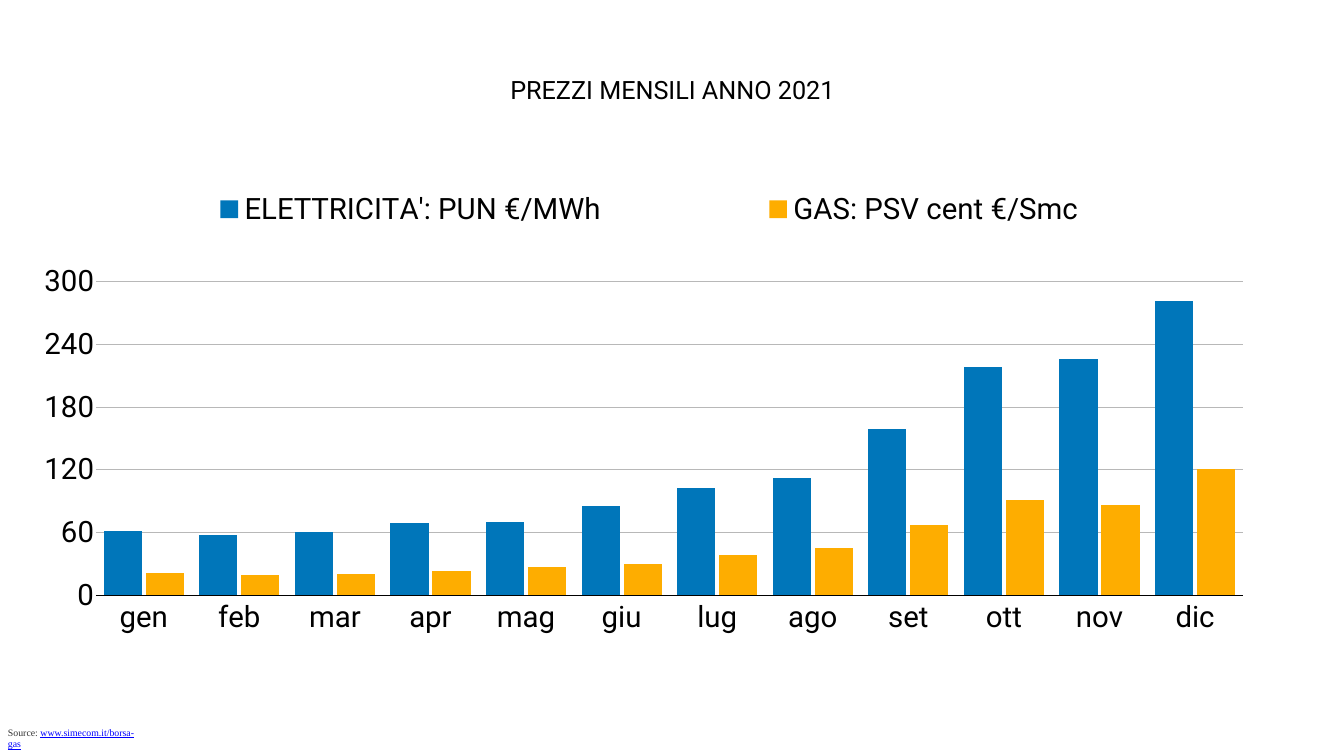
from lxml import etree
from pptx import Presentation
from pptx.chart.data import CategoryChartData
from pptx.dml.color import RGBColor
from pptx.enum.chart import XL_CHART_TYPE, XL_LEGEND_POSITION, XL_TICK_LABEL_POSITION, XL_TICK_MARK
from pptx.enum.text import MSO_ANCHOR, PP_ALIGN
from pptx.oxml.ns import qn
from pptx.util import Emu, Pt

COLUMNS = XL_CHART_TYPE.COLUMN_CLUSTERED
LEGEND_TOP = XL_LEGEND_POSITION.TOP
LABELS_LOW = XL_TICK_LABEL_POSITION.LOW
NO_TICK = XL_TICK_MARK.NONE
MIDDLE = MSO_ANCHOR.MIDDLE
LEFT, CENTER = PP_ALIGN.LEFT, PP_ALIGN.CENTER

EMU_PER_PX = 914400 / 50.4
COLORS = {
    "text": "000000", "source": "333333", "link": "0000FF", "grid": "B8B8B8",
    "electricity": "0076BA", "gas": "FEAD00", "page": "FFFFFF",
}
MONTHS = ["gen", "feb", "mar", "apr", "mag", "giu", "lug", "ago", "set", "ott", "nov", "dic"]
SERIES = [
    ("ELETTRICITA': PUN €/MWh", "electricity",
     [61, 58, 60, 69, 70, 85, 103, 112, 159, 218, 226, 282]),
    ("GAS: PSV cent €/Smc", "gas",
     [21, 19, 20, 23, 27, 30, 38, 45, 67, 91, 86, 121]),
]
CHART_FONT = {"name": "Roboto", "size": Pt(42), "color": "text"}
TITLE_FONT = {"name": "Roboto", "size": Pt(36), "color": "text"}
SOURCE_FONT = {"name": "Times New Roman", "size": Pt(14), "color": "source"}
LINK_FONT = {**SOURCE_FONT, "color": "link", "underline": True}


def px(value):
    return Emu(round(value * EMU_PER_PX))


def rgb(name):
    return RGBColor.from_string(COLORS[name])


def style_font(font, style):
    for key, value in style.items():
        if key == "color":
            font.color.rgb = rgb(value)
        else:
            setattr(font, key, value)


def style_line(line, color):
    line.color.rgb = rgb(color)
    line.width = Pt(1)


def add_text(page, bounds, spans, align=LEFT):
    box = page.shapes.add_textbox(*map(px, bounds))
    frame = box.text_frame
    frame.word_wrap = False
    frame.vertical_anchor = MIDDLE
    for side in ("left", "top", "right", "bottom"):
        setattr(frame, f"margin_{side}", px(3))
    para = frame.paragraphs[0]
    para.alignment = align
    for text, style in spans:
        span = para.add_run()
        span.text = text
        style_font(span.font, style)


def set_layout(parent, position, values, inner=False):
    for old in parent.findall(qn("c:layout")):
        parent.remove(old)
    layout = etree.Element(qn("c:layout"))
    manual = etree.SubElement(layout, qn("c:manualLayout"))
    settings = [("layoutTarget", "inner")] if inner else []
    settings += [("xMode", "edge"), ("yMode", "edge"), *zip("xywh", values)]
    for tag, value in settings:
        etree.SubElement(manual, qn(f"c:{tag}")).set("val", str(value))
    parent.insert(position, layout)


def style_axes(chart):
    months, prices = chart.category_axis, chart.value_axis
    for axis in (months, prices):
        axis.major_tick_mark = axis.minor_tick_mark = NO_TICK
        style_font(axis.tick_labels.font, CHART_FONT)
    months.tick_label_position = LABELS_LOW
    style_line(months.format.line, "text")
    prices.minimum_scale, prices.maximum_scale, prices.major_unit = 0, 300, 60
    prices.format.line.fill.background()
    style_line(prices.major_gridlines.format.line, "grid")


def add_price_chart(page, bounds):
    data = CategoryChartData()
    data.categories = MONTHS
    for name, _, values in SERIES:
        data.add_series(name, values)
    chart = page.shapes.add_chart(COLUMNS, *map(px, bounds), data).chart
    chart.has_title = False
    style_font(chart.font, CHART_FONT)
    style_axes(chart)

    plot = chart.plots[0]
    plot.vary_by_categories = False
    plot.gap_width, plot.overlap = 40, -10
    for series, (_, color, _) in zip(plot.series, SERIES):
        series.format.fill.solid()
        series.format.fill.fore_color.rgb = rgb(color)

    chart.has_legend = True
    legend = chart.legend
    legend.position = LEGEND_TOP
    legend.include_in_layout = True
    style_font(legend.font, CHART_FONT)
    root = chart.element
    set_layout(root.find(f".//{qn('c:plotArea')}"), 0, (0.058, 0.206, 0.937, 0.674), inner=True)
    set_layout(root.find(f".//{qn('c:legend')}"), 1, (0.03, 0, 0.96, 0.1))


def main():
    deck = Presentation()
    deck.slide_width, deck.slide_height = px(1344), px(756)
    page = deck.slides.add_slide(deck.slide_layouts[6])
    page.background.fill.solid()
    page.background.fill.fore_color.rgb = rgb("page")
    add_text(page, (5, 729, 145, 18),
             [("Source: ", SOURCE_FONT), ("www.simecom.it/borsa-gas", LINK_FONT)])
    add_price_chart(page, (25, 186, 1224, 465))
    add_text(page, (502, 72, 341, 35), [("PREZZI MENSILI ANNO 2021", TITLE_FONT)], CENTER)
    deck.save("out.pptx")


if __name__ == "__main__":
    main()
